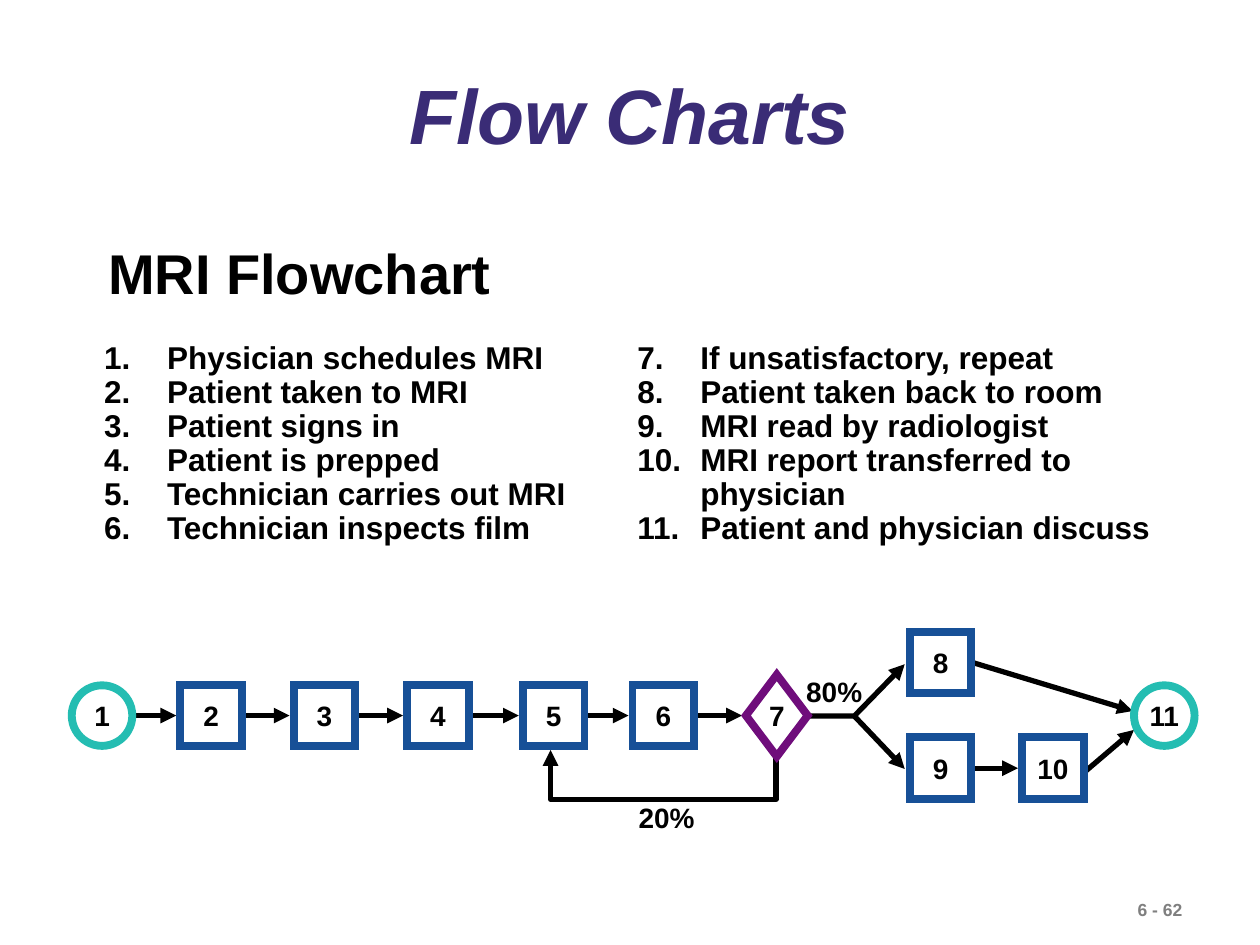
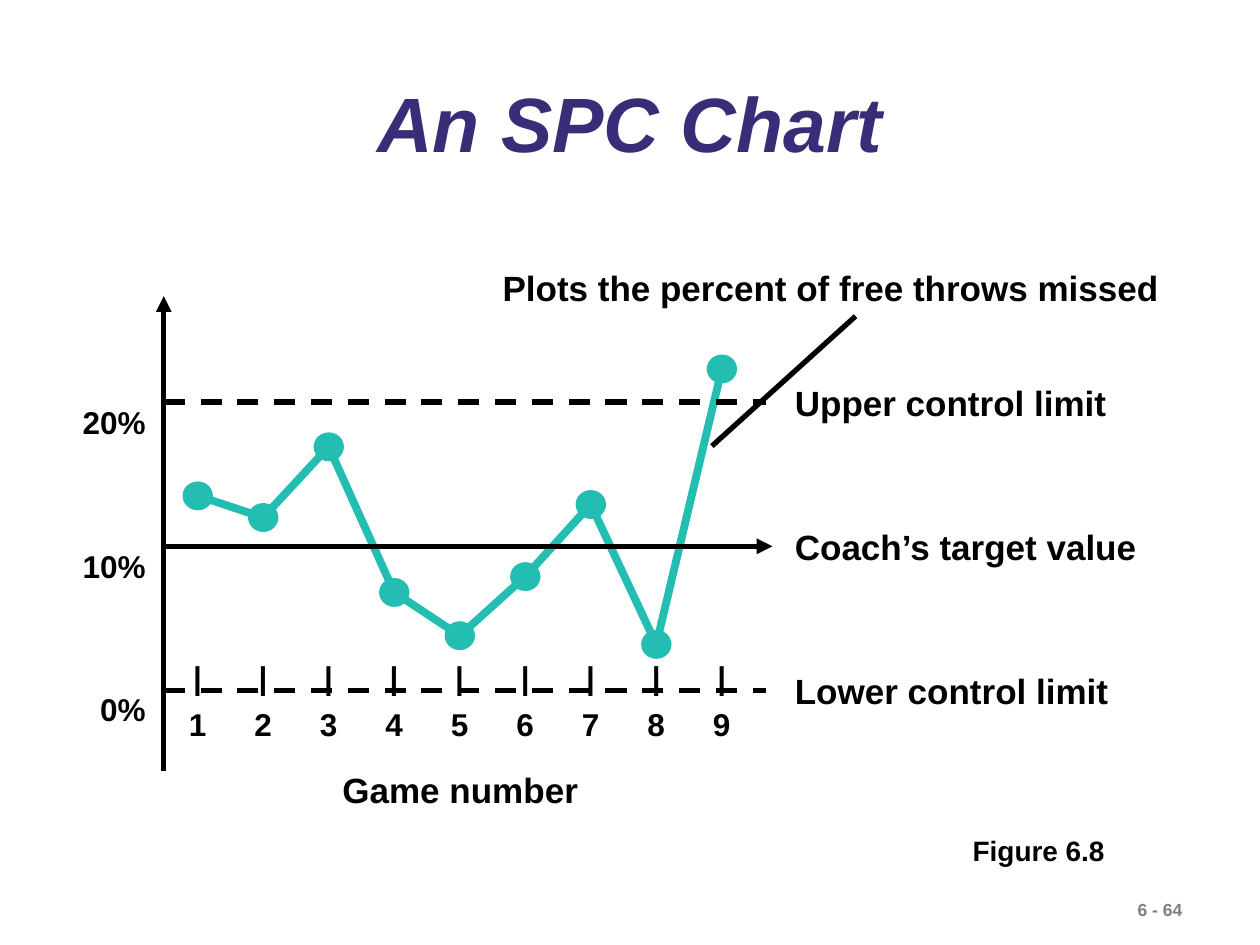
"""Build two slides on process tools: a flow chart and an SPC chart."""
from lxml import etree
from pptx import Presentation
from pptx.dml.color import RGBColor
from pptx.enum import dml, shapes, text
from pptx.oxml import ns
from pptx.util import Pt

FONT = "Arial"
BLACK = RGBColor(0x00, 0x00, 0x00)
WHITE = RGBColor(0xFF, 0xFF, 0xFF)
GREY = RGBColor(0x7F, 0x7F, 0x7F)
INDIGO = RGBColor(0x3A, 0x2C, 0x76)
TEAL = RGBColor(0x24, 0xBD, 0xB2)
BLUE = RGBColor(0x17, 0x50, 0x97)
PURPLE = RGBColor(0x6F, 0x0D, 0x7B)

OVAL = shapes.MSO_SHAPE.OVAL
SQUARE = shapes.MSO_SHAPE.RECTANGLE
DIAMOND = shapes.MSO_SHAPE.DIAMOND
LEFT, CENTER, RIGHT = text.PP_ALIGN.LEFT, text.PP_ALIGN.CENTER, text.PP_ALIGN.RIGHT

FIRST_STEPS = ["Physician schedules MRI", "Patient taken to MRI", "Patient signs in",
               "Patient is prepped", "Technician carries out MRI",
               "Technician inspects film"]
LAST_STEPS = ["If unsatisfactory, repeat", "Patient taken back to room",
              "MRI read by radiologist", "MRI report transferred to physician",
              "Patient and physician discuss"]
MISSED = [13.5, 12, 16.9, 6.8, 3.8, 7.9, 12.9, 3.2, 22.3]


def add_xml(parent, tag, **attributes):
    """Append a drawing element to a parent and return it."""
    return etree.SubElement(parent, ns.qn(tag), attributes)


def write(frame, lines, size, color=BLACK, align=LEFT, spacing=None, italic=False):
    """Fill a text frame with one bold paragraph per line."""
    frame.text = "\n".join(lines)
    for para in frame.paragraphs:
        para.alignment = align
        para.line_spacing = spacing
        for span in para.runs:
            font = span.font
            font.name, font.size, font.bold, font.italic = FONT, Pt(size), True, italic
            font.color.rgb = color


def add_text(page, box, lines, size, **style):
    """Add a text box and return its text frame."""
    frame = page.shapes.add_textbox(*map(Pt, box)).text_frame
    frame.word_wrap = True
    write(frame, lines, size, **style)
    return frame


def style_line(line, color, width, arrow=False):
    """Colour an outline and give it an arrowhead if asked."""
    line.color.rgb = color
    line.width = Pt(width)
    if arrow:
        add_xml(line._get_or_add_ln(), "a:tailEnd", type="triangle")


def add_line(page, origin, start, end, arrow=True, dashed=False):
    """Add a straight black line between two points relative to the origin."""
    left, top = origin
    link = page.shapes.add_connector(
        shapes.MSO_CONNECTOR.STRAIGHT, Pt(left + start[0]), Pt(top + start[1]),
        Pt(left + end[0]), Pt(top + end[1]))
    if dashed:
        link.line.dash_style = dml.MSO_LINE.DASH
    style_line(link.line, BLACK, 3, arrow)
    add_xml(link._element.spPr, "a:effectLst")


def add_path(page, origin, points, color=BLACK, width=3, arrow=True):
    """Add an open path through points relative to the origin."""
    left, top = origin
    corners = [(Pt(left + x), Pt(top + y)) for x, y in points]
    builder = page.shapes.build_freeform(*corners[0])
    builder.add_line_segments(corners[1:], close=False)
    path = builder.convert_to_shape()
    path.shadow.inherit = False
    path.fill.background()
    style_line(path.line, color, width, arrow)


def add_node(page, origin, center, size, kind, fill, color, width):
    """Add a sharp-cornered shape centred on a point relative to the origin."""
    left = origin[0] + center[0] - size[0] / 2
    top = origin[1] + center[1] - size[1] / 2
    node = page.shapes.add_shape(kind, Pt(left), Pt(top), Pt(size[0]), Pt(size[1]))
    node.shadow.inherit = False
    node.fill.solid()
    node.fill.fore_color.rgb = fill
    style_line(node.line, color, width)
    add_xml(node.line._get_or_add_ln(), "a:miter", lim="800000")
    return node


def add_page(deck, title, title_height, number):
    """Add a slide with its title and page number."""
    page = deck.slides.add_slide(deck.slide_layouts[5])
    heading = page.shapes.title
    heading.left, heading.top = Pt(54), Pt(34.6)
    heading.width, heading.height = Pt(612), Pt(title_height)
    frame = heading.text_frame
    frame.auto_size = text.MSO_AUTO_SIZE.NONE
    frame.vertical_anchor = text.MSO_ANCHOR.MIDDLE
    write(frame, [title], 44, INDIGO, CENTER, 0.9, italic=True)
    add_text(page, (643, 510, 77, 19.4), [number], 10, color=GREY)
    return page


def add_steps(page, box, steps, first):
    """Add a numbered list that starts at the given number."""
    frame = add_text(page, box, steps, 18, spacing=0.9)
    for para in frame.paragraphs:
        props = para._p.get_or_add_pPr()
        props.set("marL", str(Pt(36)))
        props.set("indent", str(-Pt(36)))
        add_xml(props, "a:buFont", typeface=FONT)
        add_xml(props, "a:buAutoNum", type="arabicPeriod", startAt=str(first))


def add_flow(page, origin):
    """Draw the eleven linked steps of the flow chart."""
    left, top = origin
    middle, upper, lower = 48, 17.7, 78.1
    spine = [17.3, 79.6, 144.4, 209.2, 275.4, 338.1, 402.9]
    centers = [(x, middle) for x in spine]
    centers += [(496.5, upper), (496.5, lower), (560.6, lower), (624.3, middle)]
    kinds = {1: (OVAL, TEAL, 34.6), 7: (DIAMOND, PURPLE, 46.8), 11: (OVAL, TEAL, 34.6)}

    for x, y in centers[1:7] + [centers[9]]:
        add_line(page, origin, (x - 55.2, y), (x - 19.9, y))
    add_line(page, origin, (506.2, 15.1), (606.3, 45.4))
    add_line(page, origin, (573.2, 85), (607, 56.2))
    add_path(page, origin, [(402.5, 61.2), (402.5, 95.8), (273.6, 95.8), (273.6, 67.7)])
    add_path(page, origin, [(411.9, 48.3), (447.2, 48.3), (476, 18.7)])
    add_line(page, origin, (447.2, 48.3), (476, 78.5))

    for number, center in enumerate(centers, 1):
        kind, color, height = kinds.get(number, (SQUARE, BLUE, 35.3))
        width = min(height, 35.3)
        node = add_node(page, origin, center, (width, height), kind, WHITE, color, 4.5)
        frame = node.text_frame
        frame.margin_left = frame.margin_right = frame.margin_top = frame.margin_bottom = 0
        frame.word_wrap = False
        frame.vertical_anchor = text.MSO_ANCHOR.MIDDLE
        write(frame, [str(number)], 16, align=CENTER)

    for share, x, y in [("20%", 316.8, 93.2), ("80%", 412.6, 21.2)]:
        add_text(page, (left + x, top + y, 54, 26.6), [share], 16)


def add_control_chart(page, origin):
    """Draw the missed throws against the target and control limits."""
    left, top = origin
    axis, zero, percent = 53.6, 245.6, 8.24
    first_tick, tick_gap = 15.1, 37.44
    points = [(73 + tick_gap * game, zero - percent * value)
              for game, value in enumerate(MISSED)]

    add_path(page, origin, points, TEAL, 4.5, arrow=False)
    for point in points:
        add_node(page, origin, point, (16.6, 15.8), OVAL, TEAL, TEAL, 0.75)

    add_line(page, origin, (axis, 291.6), (axis, 20.2))
    levels = [(20, "Upper control limit", 397.8, True),
              (10, "Coach’s target value", 401.4, False),
              (0, "Lower control limit", 397.8, True)]
    for value, label, end, is_limit in levels:
        y = zero - percent * value
        add_line(page, origin, (axis, y), (end, y), arrow=not is_limit, dashed=is_limit)
        add_text(page, (left + 407.1, top + y - 15.6, 220, 31.7), [label], 20)

    games = [str(game) for game in range(1, len(MISSED) + 1)]
    rows = ["".join("\t" + mark for mark in marks) for marks in ("|" * len(games), games)]
    frame = add_text(page, (left + 50.7, top + 218.2, 358.6, 61.2), rows, 18, spacing=1.25)
    for para in frame.paragraphs:
        stops = add_xml(para._p.get_or_add_pPr(), "a:tabLst")
        for game in range(len(games)):
            add_xml(stops, "a:tab", pos=str(Pt(first_tick + tick_gap * game)), algn="ctr")

    add_text(page, (left - 9.7, top + 17.3, 60, 253.4), ["20%", "10%", "0%"], 18,
             align=RIGHT, spacing=3.8)
    add_text(page, (left + 148.6, top + 286.6, 160, 31.7), ["Game number"], 20)
    add_text(page, (left + 240.1, top, 400, 31.7),
             ["Plots the percent of free throws missed"], 20)
    add_line(page, origin, (448.9, 31.7), (366.8, 105.9), arrow=False)


def main():
    """Build and save the deck."""
    deck = Presentation()
    deck.slide_width, deck.slide_height = Pt(720), Pt(540)

    page = add_page(deck, "Flow Charts", 67.7, "6 - 62")
    add_text(page, (54.7, 132.5, 249, 46), ["MRI Flowchart"], 32)
    add_steps(page, (52.4, 191.8, 285, 123.8), FIRST_STEPS, 1)
    add_steps(page, (357.1, 191.8, 310.3, 123.8), LAST_STEPS, 7)
    add_flow(page, (41, 360.9))

    page = add_page(deck, "An SPC Chart", 76.3, "6 - 64")
    add_control_chart(page, (40, 149))
    add_text(page, (548.8, 473, 105, 26.6), ["Figure 6.8"], 16)

    deck.save("out.pptx")


if __name__ == "__main__":
    main()
